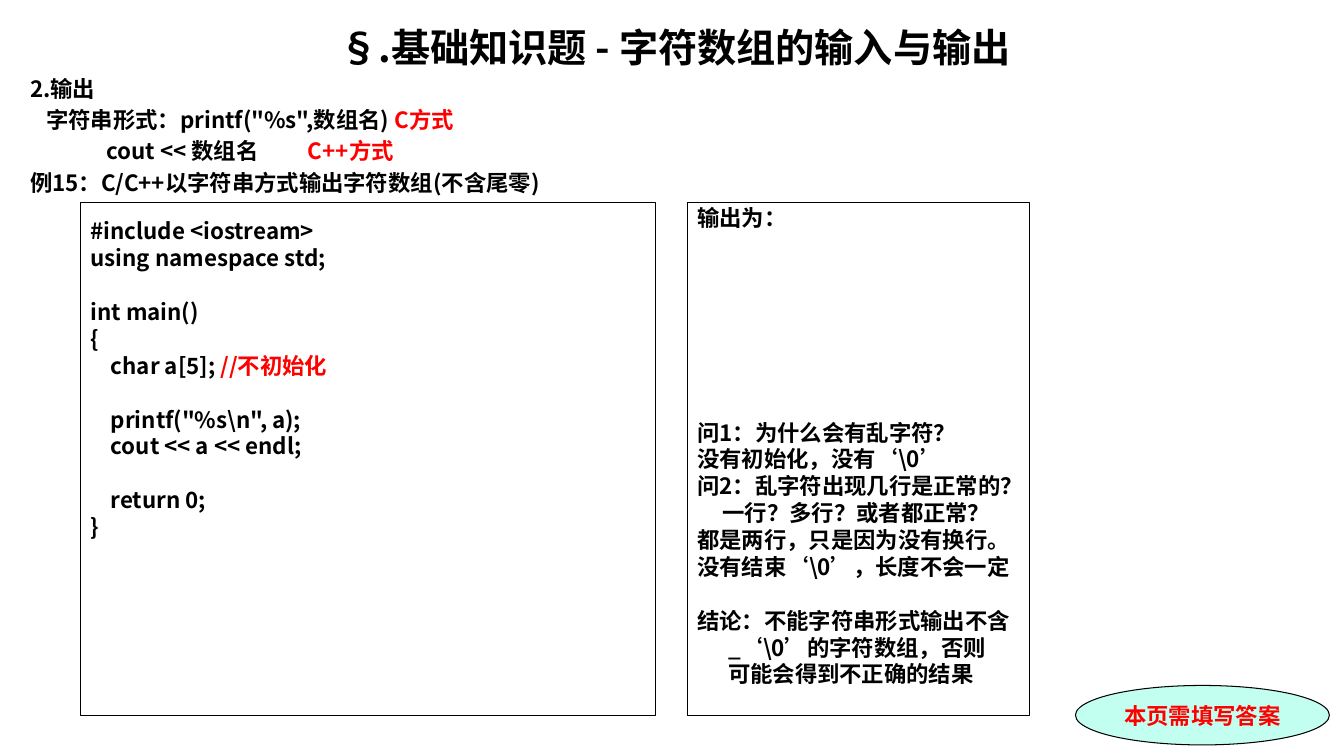
from pptx import Presentation
from pptx.dml.color import RGBColor
from pptx.enum.shapes import MSO_SHAPE
from pptx.enum.text import MSO_ANCHOR, PP_ALIGN
from pptx.util import Pt
from lxml import etree

RECT, OVAL = MSO_SHAPE.RECTANGLE, MSO_SHAPE.OVAL
TOP, MID = MSO_ANCHOR.TOP, MSO_ANCHOR.MIDDLE
LEFT, MIDDLE = PP_ALIGN.LEFT, PP_ALIGN.CENTER
NS = "http://schemas.openxmlformats.org/drawingml/2006/main"
SANS, SERIF = "Noto Sans CJK SC", "Times New Roman"
HUES = {"ink": "000000", "red": "FF0000", "mint": "C2FFF0"}
ROW = 19.2
TAB = 193

TITLE = "§.基础知识题 - 字符数组的输入与输出"
NOTE = "本页需填写答案"

# rows: blank rows above, indent, black text, red text
INTRO = [
    (0, 0, "2.输出", ""),
    (0, 11.5, "字符串形式：printf(\"%s\",数组名) ", "C方式"),
    (0, 54.5, "cout << 数组名\t", "C++方式"),
    (0, 0, "例15：C/C++以字符串方式输出字符数组(不含尾零)", ""),
]
CODE = [
    (0, 0, "#include <iostream>", ""),
    (0, 0, "using namespace std;", ""),
    (1, 0, "int main()", ""),
    (0, 0, "{", ""),
    (0, 0, "    char a[5]; ", "//不初始化"),
    (1, 0, "    printf(\"%s\\n\", a);", ""),
    (0, 0, "    cout << a << endl;", ""),
    (1, 0, "    return 0;", ""),
    (0, 0, "}", ""),
]
ANSWER = [
    (0, 0, "输出为：", ""),
    (7, 0, "问1：为什么会有乱字符？", ""),
    (0, 0, "没有初始化，没有‘\\0’", ""),
    (0, 0, "问2：乱字符出现几行是正常的？", ""),
    (0, 18, "一行？多行？或者都正常？", ""),
    (0, 0, "都是两行，只是因为没有换行。", ""),
    (0, 0, "没有结束‘\\0’，长度不会一定", ""),
    (1, 0, "结论：不能字符串形式输出不含", ""),
    (0, 22, "_‘\\0’的字符数组，否则", ""),
    (0, 22, "可能会得到不正确的结果", ""),
]


def paint(hue):
    return RGBColor.from_string(HUES[hue])


def write(shape, rows, size=16, font=SANS, align=LEFT, anchor=TOP,
          wrap=False, inset=3.6, lead=0):
    frame = shape.text_frame
    frame.word_wrap = wrap
    frame.vertical_anchor = anchor
    frame.margin_left = frame.margin_right = Pt(7.2)
    frame.margin_top, frame.margin_bottom = Pt(inset), Pt(0)
    for i, (blank, indent, black, red) in enumerate(rows):
        para = frame.paragraphs[0] if i == 0 else frame.add_paragraph()
        props = para._p.get_or_add_pPr()
        if indent:
            props.set("marL", str(Pt(indent)))
            props.set("indent", "0")
        if "\t" in black:
            tabs = etree.SubElement(props, f"{{{NS}}}tabLst")
            etree.SubElement(tabs, f"{{{NS}}}tab", pos=str(Pt(TAB)), algn="l")
        para.alignment = align
        para.space_before = Pt(blank * ROW + lead if i else 0)
        for text, hue in ((black, "ink"), (red, "red")):
            if not text:
                continue
            run = para.add_run()
            run.text = text
            run.font.size, run.font.bold = Pt(size), True
            run.font.name = font
            run.font.color.rgb = paint(hue)
            east = etree.SubElement(run.font._element, f"{{{NS}}}ea")
            east.set("typeface", SANS)


def draw(slide, kind, box, fill=None):
    shape = slide.shapes.add_shape(kind, *map(Pt, box))
    shape.shadow.inherit = False
    if fill:
        shape.fill.solid()
        shape.fill.fore_color.rgb = paint(fill)
    else:
        shape.fill.background()
    shape.line.color.rgb = paint("ink")
    shape.line.width = Pt(0.75)
    return shape


deck = Presentation()
deck.slide_width, deck.slide_height = Pt(960), Pt(540)
slide = deck.slides.add_slide(deck.slide_layouts[5])

title = slide.shapes.title
title.left, title.top, title.width, title.height = map(Pt, (14.4, 13, 935.3, 37))
write(title, [(0, 0, TITLE, "")], size=28, align=MIDDLE, wrap=True)

intro = slide.shapes.add_textbox(*map(Pt, (14.4, 49.8, 935.3, 92)))
write(intro, INTRO, wrap=True, lead=3.2)

write(draw(slide, OVAL, (768.2, 489.6, 181.4, 42.5), "mint"),
      [(0, 0, "", NOTE)], font=SERIF, align=MIDDLE, anchor=MID, inset=0)
for left, width, rows, inset in ((57.6, 410.4, CODE, 10.7), (491, 244.1, ANSWER, 0.8)):
    write(draw(slide, RECT, (left, 144.7, width, 366.5)), rows, inset=inset)

deck.save("out.pptx")
